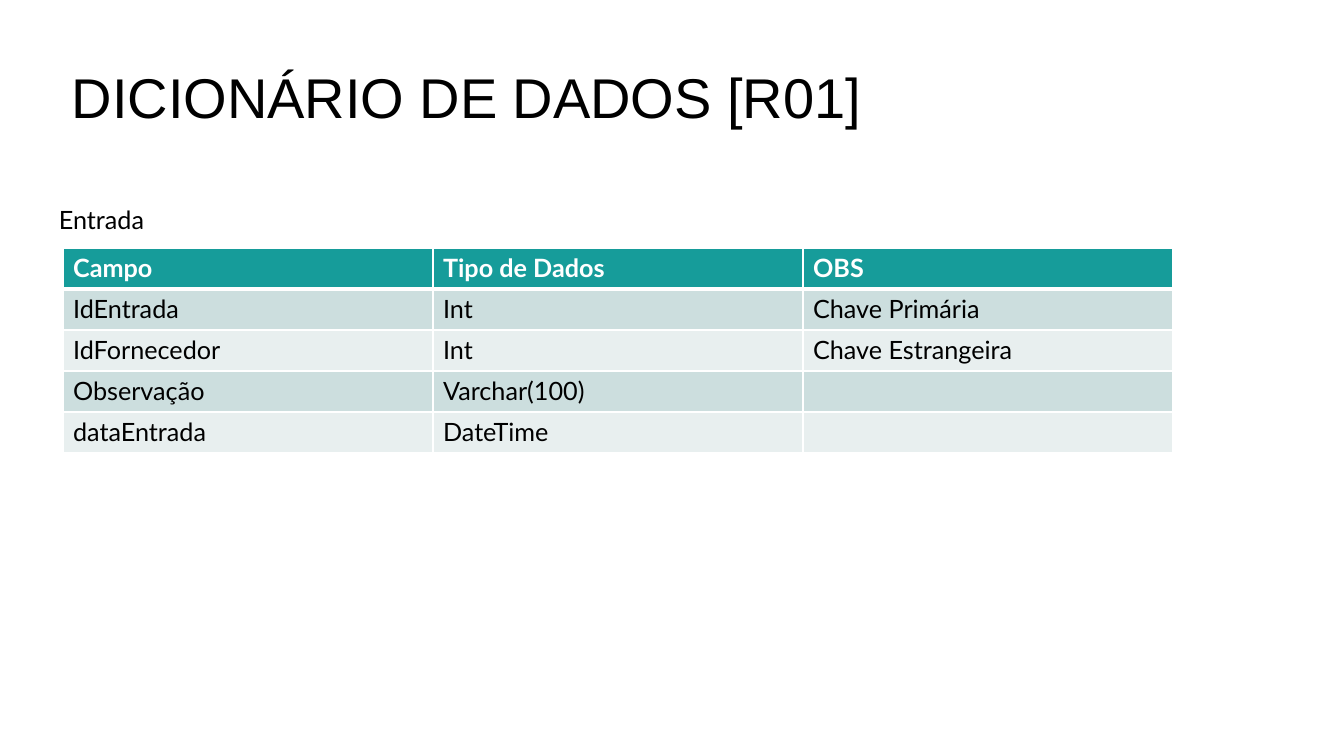
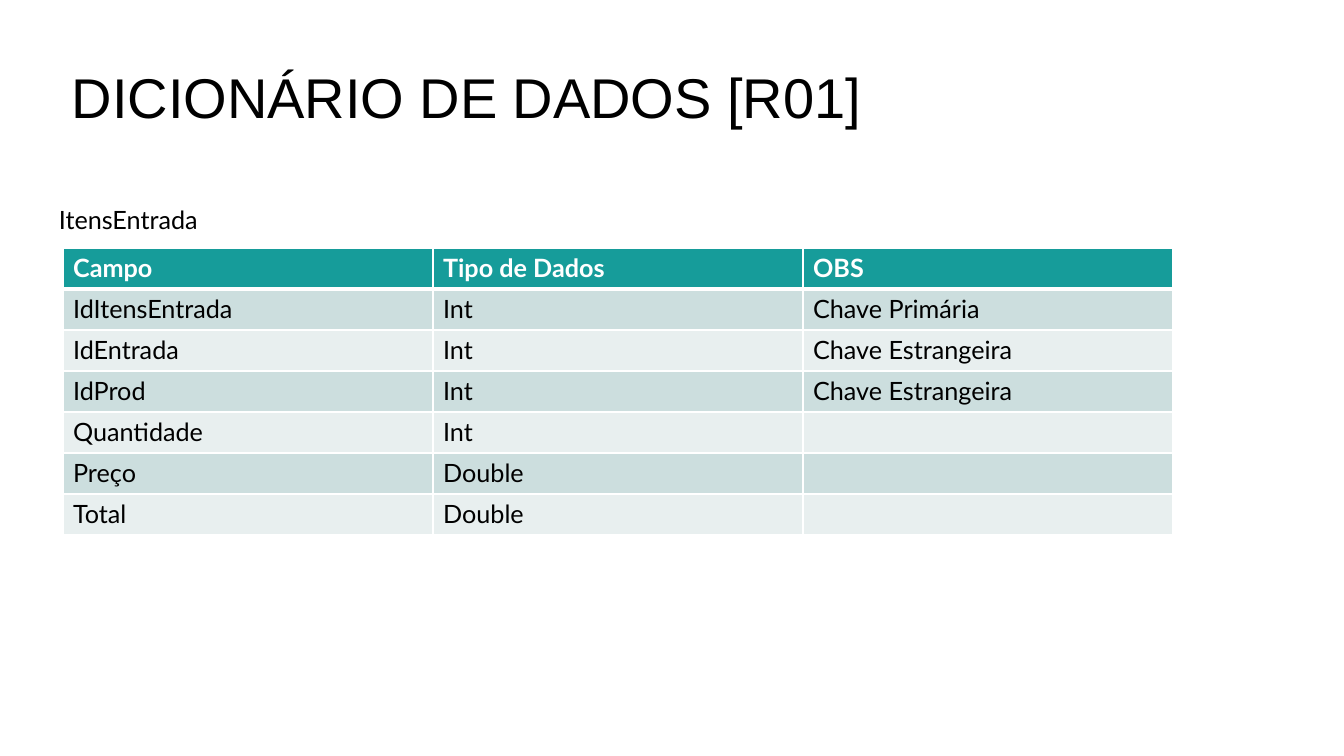
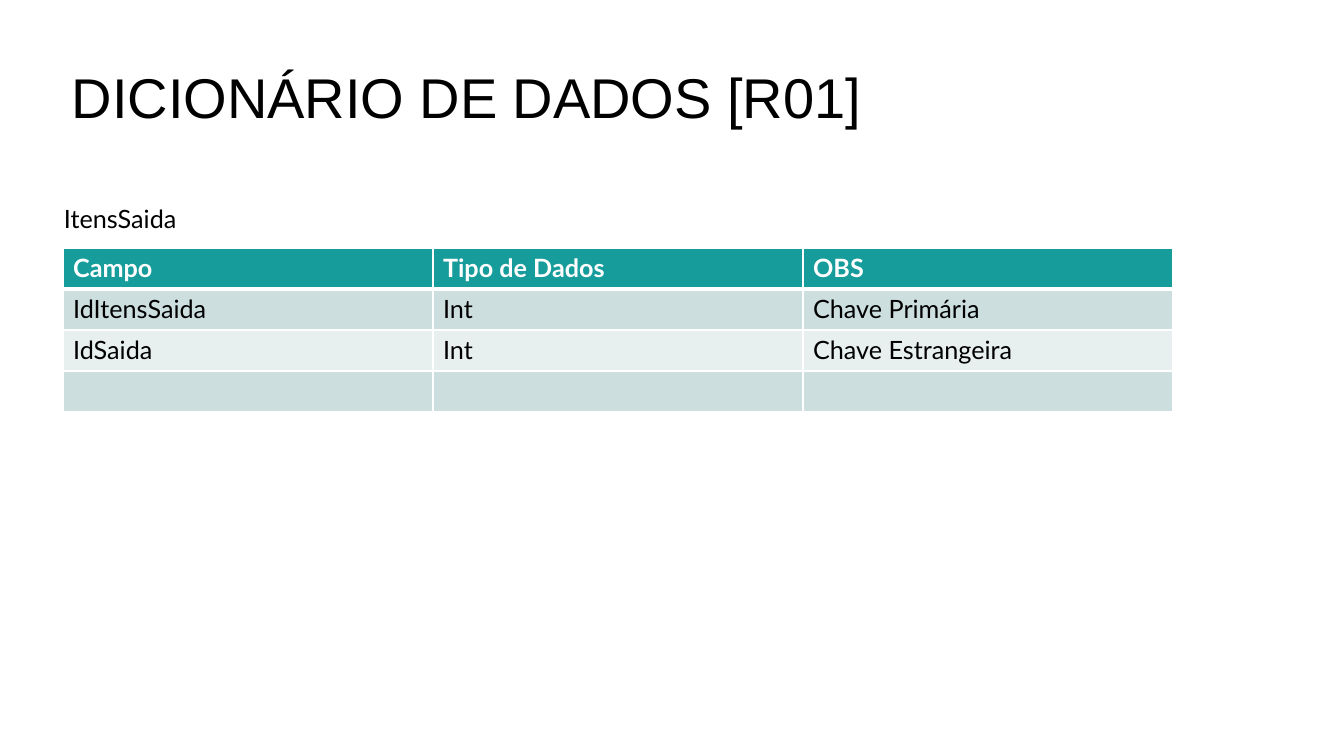
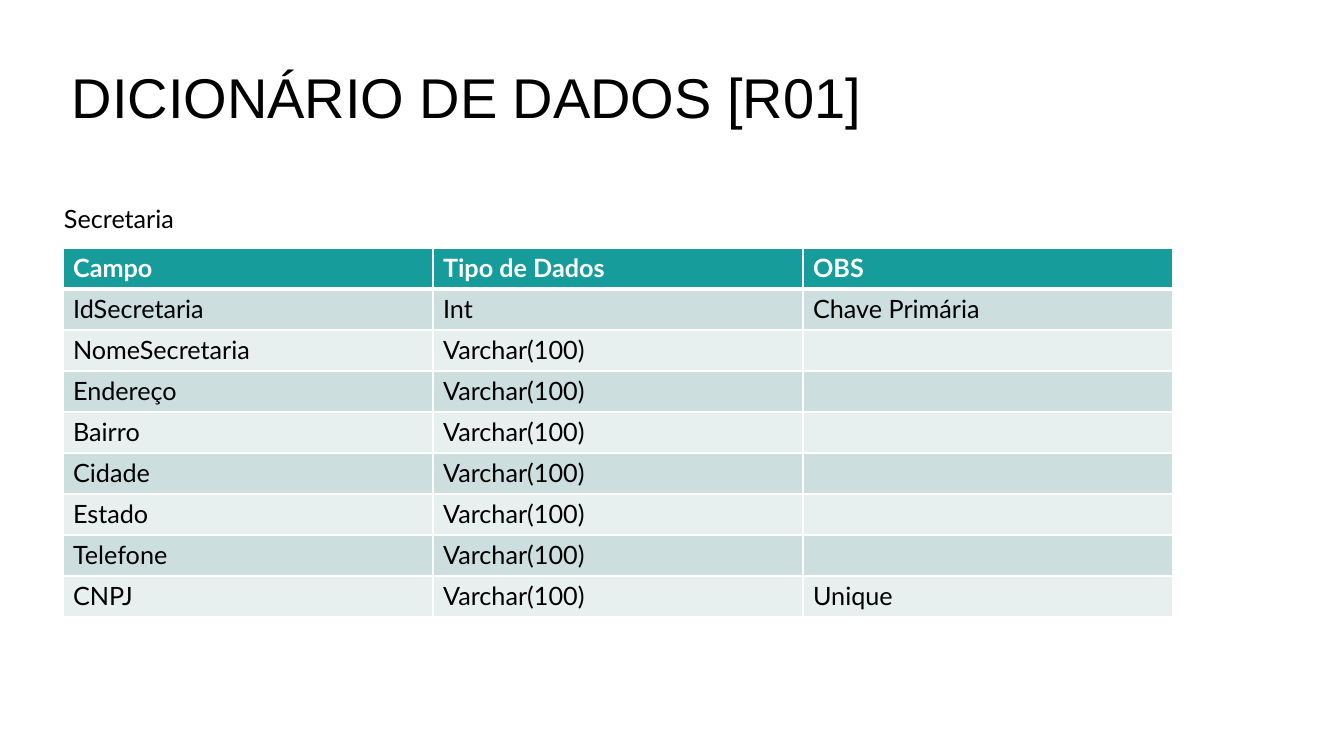
import pptx
import pptx.dml.color
import pptx.enum.text
import pptx.oxml.ns
import pptx.util
from lxml import etree

EMU_PER_PX = 9072
SLIDE_SIZE = (1344, 756)
COLORS = {
    "text": "000000",
    "header_text": "FFFFFF",
    "header": "169C9A",
    "band_dark": "CCDEDE",
    "band_light": "E8EFEF",
    "border": "FFFFFF",
}
TITLE = "DICIONÁRIO DE DADOS [R01]"
TITLE_BOX = (62, 58, 818, 78)
LABEL_HEIGHT = 40
TABLE_LEFT, TABLE_TOP = 63, 248
COLUMN_WIDTH, ROW_HEIGHT = 370, 41
HEADER = ("Campo", "Tipo de Dados", "OBS")
PRIMARY, FOREIGN = "Chave Primária", "Chave Estrangeira"
TEXT_TYPE = "Varchar(100)"

# Each entry: name, label position and width, field rows.
ENTITIES = [
    ("Entrada", (49, 199, 110), [
        ("IdEntrada", "Int", PRIMARY),
        ("IdFornecedor", "Int", FOREIGN),
        ("Observação", TEXT_TYPE, ""),
        ("dataEntrada", "DateTime", ""),
    ]),
    ("ItensEntrada", (49, 199, 164), [
        ("IdItensEntrada", "Int", PRIMARY),
        ("IdEntrada", "Int", FOREIGN),
        ("IdProd", "Int", FOREIGN),
        ("Quantidade", "Int", ""),
        ("Preço", "Double", ""),
        ("Total", "Double", ""),
    ]),
    ("ItensSaida", (54, 198, 140), [
        ("IdItensSaida", "Int", PRIMARY),
        ("IdSaida", "Int", FOREIGN),
        ("", "", ""),
    ]),
    ("Secretaria", (54, 198, 136), [
        ("IdSecretaria", "Int", PRIMARY),
        ("NomeSecretaria", TEXT_TYPE, ""),
        ("Endereço", TEXT_TYPE, ""),
        ("Bairro", TEXT_TYPE, ""),
        ("Cidade", TEXT_TYPE, ""),
        ("Estado", TEXT_TYPE, ""),
        ("Telefone", TEXT_TYPE, ""),
        ("CNPJ", TEXT_TYPE, "Unique"),
    ]),
]


def px(length):
    return pptx.util.Emu(length * EMU_PER_PX)


def rgb(name):
    return pptx.dml.color.RGBColor.from_string(COLORS[name])


def set_text(text_frame, text, font_name, size, color="text", bold=False):
    text_frame.text = text
    for run in text_frame.paragraphs[0].runs:
        run.font.name = font_name
        run.font.size = pptx.util.Pt(size)
        run.font.bold = bold
        run.font.color.rgb = rgb(color)


def add_text(slide, box, text, font_name, size):
    text_frame = slide.shapes.add_textbox(*map(px, box)).text_frame
    text_frame.word_wrap = False
    text_frame.auto_size = pptx.enum.text.MSO_AUTO_SIZE.SHAPE_TO_FIT_TEXT
    set_text(text_frame, text, font_name, size)


def set_borders(cell, top, bottom):
    """Draw the four cell edges; top and bottom are widths in points."""
    qn = pptx.oxml.ns.qn
    properties = cell._tc.get_or_add_tcPr()
    for edge, width in (("lnL", 1), ("lnR", 1), ("lnT", top), ("lnB", bottom)):
        line = etree.SubElement(properties, qn("a:" + edge), w=str(pptx.util.Pt(width)))
        fill = etree.SubElement(line, qn("a:solidFill"))
        etree.SubElement(fill, qn("a:srgbClr"), val=COLORS["border"])


def add_field_table(slide, fields):
    rows = [HEADER, *fields]
    frame = slide.shapes.add_table(
        len(rows), len(HEADER), px(TABLE_LEFT), px(TABLE_TOP),
        px(COLUMN_WIDTH * len(HEADER)), px(ROW_HEIGHT * len(rows)))
    table = frame.table
    table.horz_banding = False
    for row_index, values in enumerate(rows):
        is_header = row_index == 0
        band = "band_dark" if row_index % 2 else "band_light"
        for column_index, value in enumerate(values):
            cell = table.cell(row_index, column_index)
            set_borders(cell, top=3 if row_index == 1 else 1, bottom=3 if is_header else 1)
            cell.fill.solid()
            cell.fill.fore_color.rgb = rgb("header" if is_header else band)
            set_text(cell.text_frame, value, "Lato", 18,
                     "header_text" if is_header else "text", is_header)


def add_entity_slide(presentation, name, label_place, fields):
    slide = presentation.slides.add_slide(presentation.slide_layouts[6])
    add_text(slide, TITLE_BOX, TITLE, "Arial", 40)
    add_field_table(slide, fields)
    add_text(slide, (*label_place, LABEL_HEIGHT), name, "Lato", 18)


def main():
    presentation = pptx.Presentation()
    presentation.slide_width, presentation.slide_height = map(px, SLIDE_SIZE)
    for entity in ENTITIES:
        add_entity_slide(presentation, *entity)
    presentation.save("out.pptx")


if __name__ == "__main__":
    main()
